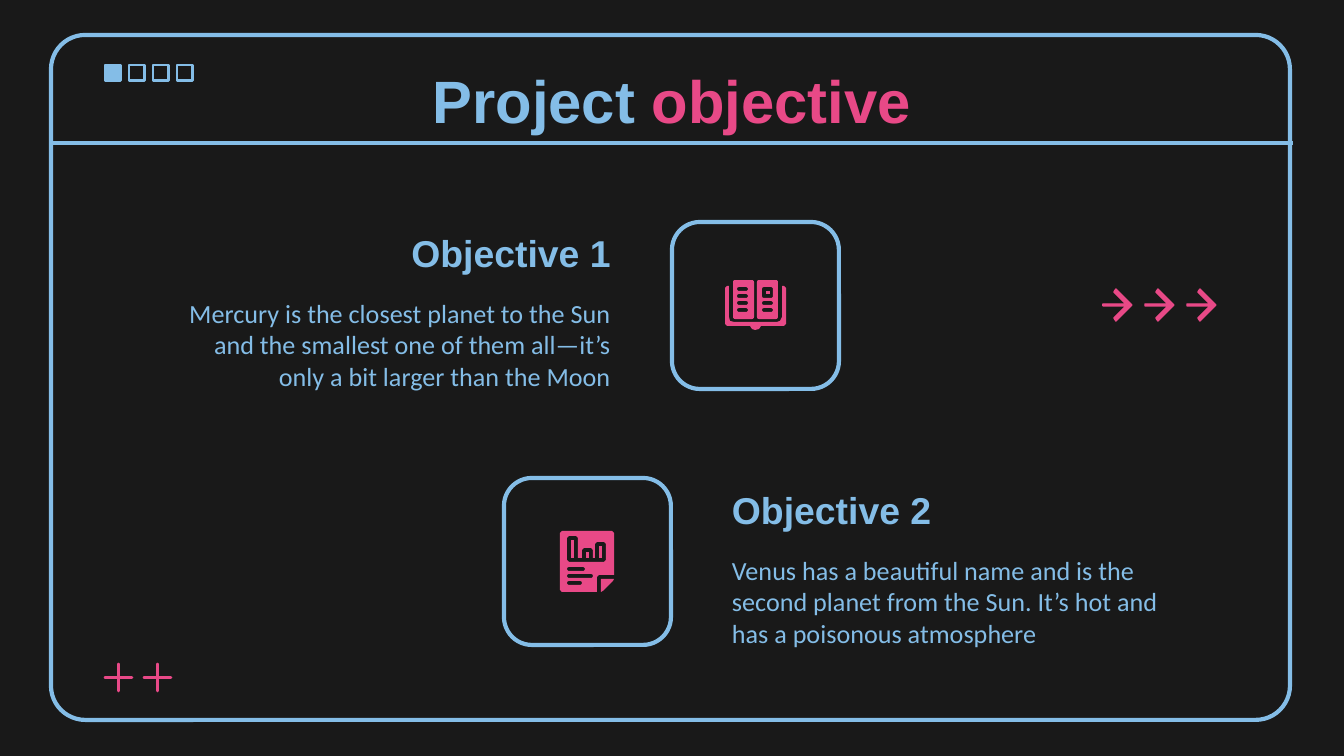
from math import cos, radians, sin

from lxml import etree
from pptx import Presentation
from pptx.dml.color import RGBColor
from pptx.enum.shapes import MSO_CONNECTOR, MSO_SHAPE
from pptx.enum.text import MSO_ANCHOR, MSO_AUTO_SIZE, PP_ALIGN
from pptx.oxml.ns import qn
from pptx.util import Pt

RECT, ROUNDED = MSO_SHAPE.RECTANGLE, MSO_SHAPE.ROUNDED_RECTANGLE
STAR = MSO_SHAPE.STAR_4_POINT
STRAIGHT = MSO_CONNECTOR.STRAIGHT
MIDDLE, BOTTOM = MSO_ANCHOR.MIDDLE, MSO_ANCHOR.BOTTOM
LEFT, CENTER, RIGHT = PP_ALIGN.LEFT, PP_ALIGN.CENTER, PP_ALIGN.RIGHT
NO_AUTOFIT = MSO_AUTO_SIZE.NONE

BLUE, PINK, DARK = "84BDE7", "E84987", "191919"
EMU_PER_PX = 914400 / 134.4

# Content
TITLE = [("Project ", BLUE), ("objective", PINK)]
OBJECTIVES = [
    {"heading": "Objective 1",
     "body": "Mercury is the closest planet to the Sun and the smallest one of "
             "them all—it’s only a bit larger than the Moon",
     "text_at": (159, 212), "align": RIGHT, "tile_at": (672, 222)},
    {"heading": "Objective 2",
     "body": "Venus has a beautiful name and is the second planet from the Sun. "
             "It’s hot and has a poisonous atmosphere",
     "text_at": (719, 469), "align": LEFT, "tile_at": (504, 478)},
]
TEXT_WIDTH, HEADING_HEIGHT, BODY_HEIGHT, TILE = 465, 82, 101, 167


def px(length):
    return round(length * EMU_PER_PX)


def color(hex_code):
    return RGBColor.from_string(hex_code)


def style(shape, fill=None, line=None, width=0):
    shape.shadow.inherit = False
    if fill:
        shape.fill.solid()
        shape.fill.fore_color.rgb = color(fill)
    else:
        shape.fill.background()
    if line:
        shape.line.color.rgb = color(line)
        shape.line.width = Pt(width)
    else:
        shape.line.fill.background()


def add_preset(kind, box, adjustment=None, **look):
    shape = slide.shapes.add_shape(kind, *map(px, box))
    if adjustment is not None:
        shape.adjustments[0] = adjustment
    style(shape, **look)


def add_outline(*contours, **look):
    """One freeform; every contour after the first cuts a hole in it."""
    first, *holes = [[(px(x), px(y)) for x, y in points] for points in contours]
    builder = slide.shapes.build_freeform(*first[0])
    builder.add_line_segments(first[1:], close=True)
    for hole in holes:
        builder.move_to(*hole[0])
        builder.add_line_segments(hole[1:], close=True)
    style(builder.convert_to_shape(), **look)


def rounded(left, top, right, bottom, radius=2):
    corners = [(right - radius, bottom - radius), (left + radius, bottom - radius),
               (left + radius, top + radius), (right - radius, top + radius)]
    return [(x + radius * cos(radians(angle)), y + radius * sin(radians(angle)))
            for quarter, (x, y) in enumerate(corners)
            for angle in range(90 * quarter, 90 * quarter + 91, 30)]


def box_points(left, top, right, bottom):
    return [(left, top), (left, bottom), (right, bottom), (right, top)]


def set_frame(frame, anchor):
    frame.word_wrap = True
    frame.auto_size = NO_AUTOFIT
    frame.vertical_anchor = anchor
    frame.margin_left = frame.margin_right = px(13)
    frame.margin_top = frame.margin_bottom = px(13)


def set_font(font, name, size, bold):
    font.name, font.size, font.bold = name, Pt(size), bold


def add_text(text, box, align, name, size, bold):
    frame = slide.shapes.add_textbox(*map(px, box)).text_frame
    set_frame(frame, MIDDLE)
    paragraph = frame.paragraphs[0]
    paragraph.text = text
    paragraph.alignment = align
    set_font(paragraph.font, name, size, bold)
    paragraph.font.color.rgb = color(BLUE)


presentation = Presentation()
presentation.slide_width, presentation.slide_height = px(1344), px(756)
slide = presentation.slides.add_slide(presentation.slide_layouts[5])
slide.background.fill.solid()
slide.background.fill.fore_color.rgb = color(DARK)

# Window frame, header rule and page squares
add_preset(ROUNDED, (51, 35, 1239, 685), 0.05, line=BLUE, width=2.25)
rule = slide.shapes.add_connector(STRAIGHT, px(50), px(143), px(1293), px(143))
rule.line.color.rgb = color(BLUE)
rule.line.width = Pt(2.25)
etree.SubElement(rule._element.spPr, qn("a:effectLst"))
for i in range(4):
    add_preset(RECT, (105 + 24 * i, 65, 16, 16),
               fill=BLUE if i == 0 else None, line=BLUE, width=1.5)

# Title
title = slide.shapes.title
title.left, title.top, title.width, title.height = map(px, (106, 66, 1132, 83))
set_frame(title.text_frame, BOTTOM)
title_line = title.text_frame.paragraphs[0]
title_line.alignment = CENTER
set_font(title_line.font, "Arial", 32, True)
for words, shade in TITLE:
    run = title_line.add_run()
    run.text = words
    run.font.color.rgb = color(shade)

# Objectives
for objective in OBJECTIVES:
    left, top = objective["text_at"]
    align = objective["align"]
    add_preset(ROUNDED, (*objective["tile_at"], TILE, TILE), 0.167,
               line=BLUE, width=2.25)
    add_text(objective["heading"], (left, top, TEXT_WIDTH, HEADING_HEIGHT),
             align, "Arial", 20, True)
    add_text(objective["body"], (left, top + HEADING_HEIGHT, TEXT_WIDTH, BODY_HEIGHT),
             align, "Calibri", 14, False)

# Book icon: cover, two pages with text lines, picture window
add_outline([(727, 286), (725, 288), (725, 324), (727, 326), (750, 326), (752, 329),
             (755, 330), (759, 329), (761, 326), (784, 326), (786, 324), (786, 288),
             (784, 286), (782, 286), (782, 317), (780, 321), (777, 322), (734, 322),
             (730, 321), (729, 317), (729, 286)], fill=PINK)
line_tops = [287 + 7 * i for i in range(4)]
add_outline(rounded(733, 280, 754, 319),
            *[rounded(737, y, 748, y + 4) for y in line_tops], fill=PINK)
add_outline(rounded(757, 280, 778, 319), rounded(762, 287, 773, 298),
            *[rounded(762, y, 773, y + 4) for y in line_tops[2:]], fill=PINK)
add_outline(box_points(766, 291, 770, 294), fill=PINK)

# Report icon: sheet with a chart cut-out and text lines, bars, folded corner
sheet = [(562, 531), (560, 533), (560, 590), (562, 592), (597, 592), (597, 577),
         (599, 575), (614, 575), (614, 533), (612, 531)]
chart_gap = [(569, 536), (576, 536), (578, 538), (578, 558), (582, 558), (582, 550),
             (584, 548), (591, 548), (593, 550), (593, 558), (595, 558), (595, 544),
             (597, 542), (604, 542), (606, 544), (606, 560), (604, 562), (569, 562),
             (567, 560), (567, 538)]
add_outline(sheet, chart_gap,
            *[rounded(567, 567 + 7 * i, right, 571 + 7 * i)
              for i, right in enumerate((585, 593, 582))], fill=PINK)
for bar_left, bar_top in [(571, 540), (586, 552), (599, 546)]:
    add_outline(box_points(bar_left, bar_top, bar_left + 3, 558), fill=PINK)
add_outline([(601, 579), (601, 592), (603, 591), (613, 581), (614, 579)], fill=PINK)

# Arrows and plus signs
ARROW = [(13, 0), (11, 3), (23, 15), (0, 15), (0, 17), (23, 17), (11, 29), (13, 32),
         (29, 16)]
for i in range(3):
    add_outline([(1103 + 42 * i + x, 289 + y) for x, y in ARROW],
                fill=PINK, line=PINK, width=0.75)
for i in range(2):
    add_preset(STAR, (105 + 39 * i, 664, 27, 27), 0, fill=PINK, line=PINK, width=1.5)

presentation.save("out.pptx")
